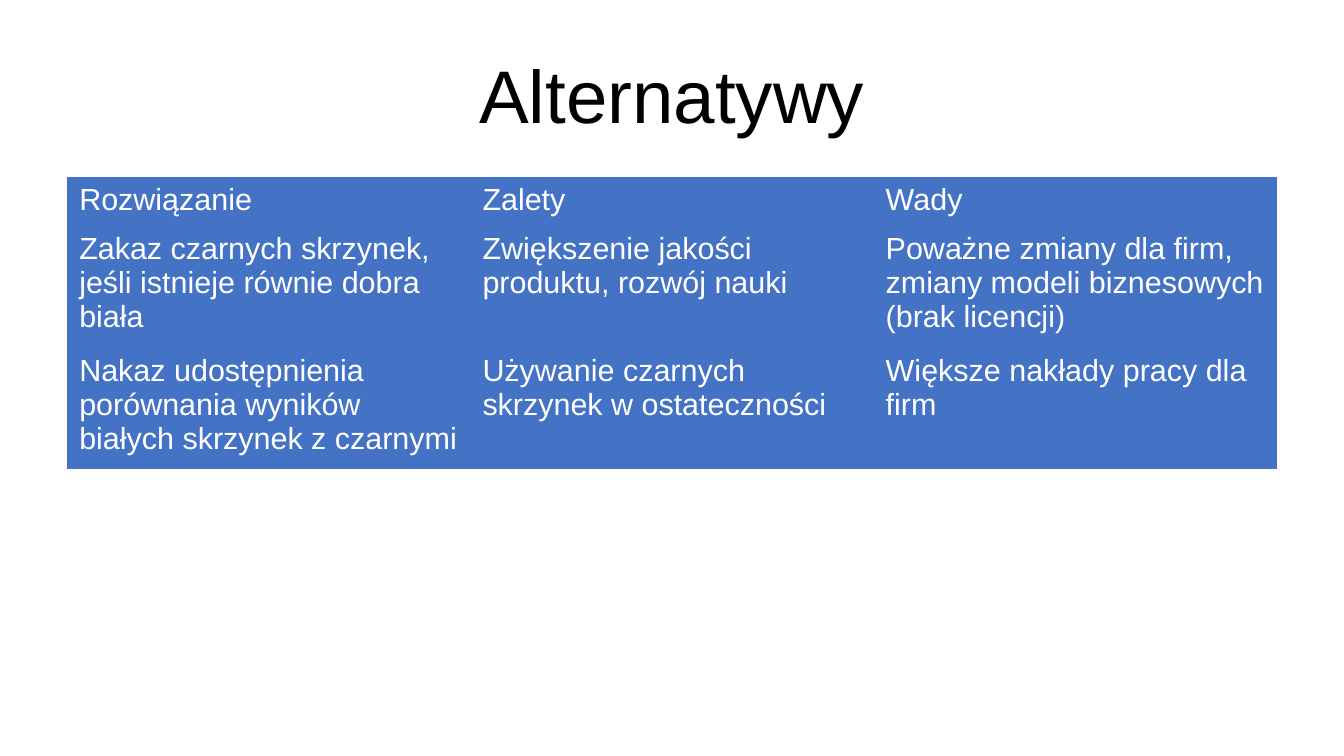
from dataclasses import dataclass

from pptx import Presentation
from pptx.dml.color import RGBColor
from pptx.enum.text import MSO_ANCHOR, PP_ALIGN
from pptx.oxml.ns import qn
from pptx.util import Inches, Pt

CENTER, LEFT = PP_ALIGN.CENTER, PP_ALIGN.LEFT
MIDDLE, TOP = MSO_ANCHOR.MIDDLE, MSO_ANCHOR.TOP
TITLE_ONLY = 5
NO_GRID_STYLE = "{2D5ABB26-0587-4C30-8999-92F81FD0307C}"


@dataclass(frozen=True)
class Theme:
    font: str = "Arial"
    title_size: int = 44
    table_size: int = 18
    title_color: RGBColor = RGBColor(0x00, 0x00, 0x00)
    table_color: RGBColor = RGBColor(0xFF, 0xFF, 0xFF)
    cell_fill: RGBColor = RGBColor(0x44, 0x72, 0xC4)


theme = Theme()


def write_text(text_frame, text, size, color, alignment):
    text_frame.text = text
    paragraph = text_frame.paragraphs[0]
    paragraph.alignment = alignment
    font_format = {"name": theme.font, "size": Pt(size), "bold": False}
    for name, value in font_format.items():
        setattr(paragraph.runs[0].font, name, value)
    paragraph.runs[0].font.color.rgb = color


# Slide
presentation = Presentation()
presentation.slide_width = Inches(11.02)
presentation.slide_height = Inches(6.2)
slide = presentation.slides.add_slide(presentation.slide_layouts[TITLE_ONLY])
left, width = Inches(0.55), Inches(9.92)

# Title
title = slide.shapes.title
title_place = {"left": left, "top": Inches(0.25), "width": width, "height": Inches(1.04)}
for name, value in title_place.items():
    setattr(title, name, value)
title_format = {
    "margin_left": 0,
    "margin_right": 0,
    "margin_top": 0,
    "margin_bottom": 0,
    "vertical_anchor": MIDDLE,
    "word_wrap": True,
}
for name, value in title_format.items():
    setattr(title.text_frame, name, value)
write_text(title.text_frame, "Alternatywy", theme.title_size, theme.title_color, CENTER)

# Table of alternatives
alternatives = [
    ("Rozwiązanie", "Zalety", "Wady"),
    (
        "Zakaz czarnych skrzynek, jeśli istnieje równie dobra biała",
        "Zwiększenie jakości produktu, rozwój nauki",
        "Poważne zmiany dla firm, zmiany modeli biznesowych (brak licencji)",
    ),
    (
        "Nakaz udostępnienia porównania wyników białych skrzynek z czarnymi",
        "Używanie czarnych skrzynek w ostateczności",
        "Większe nakłady pracy dla firm",
    ),
]
row_heights = [0.4, 1, 1]
table_frame = slide.shapes.add_table(
    len(alternatives), len(alternatives[0]), left, Inches(1.45), width, Inches(sum(row_heights))
)
table = table_frame.table
table.horz_banding = False

# Table style without grid lines
for style_id in table_frame.element.iter(qn("a:tableStyleId")):
    style_id.text = NO_GRID_STYLE

# Cells
for row, height, texts in zip(table.rows, row_heights, alternatives):
    row.height = Inches(height)
    for cell, text in zip(row.cells, texts):
        cell.fill.solid()
        cell.fill.fore_color.rgb = theme.cell_fill
        cell.vertical_anchor = TOP
        write_text(cell.text_frame, text, theme.table_size, theme.table_color, LEFT)

presentation.save("out.pptx")
